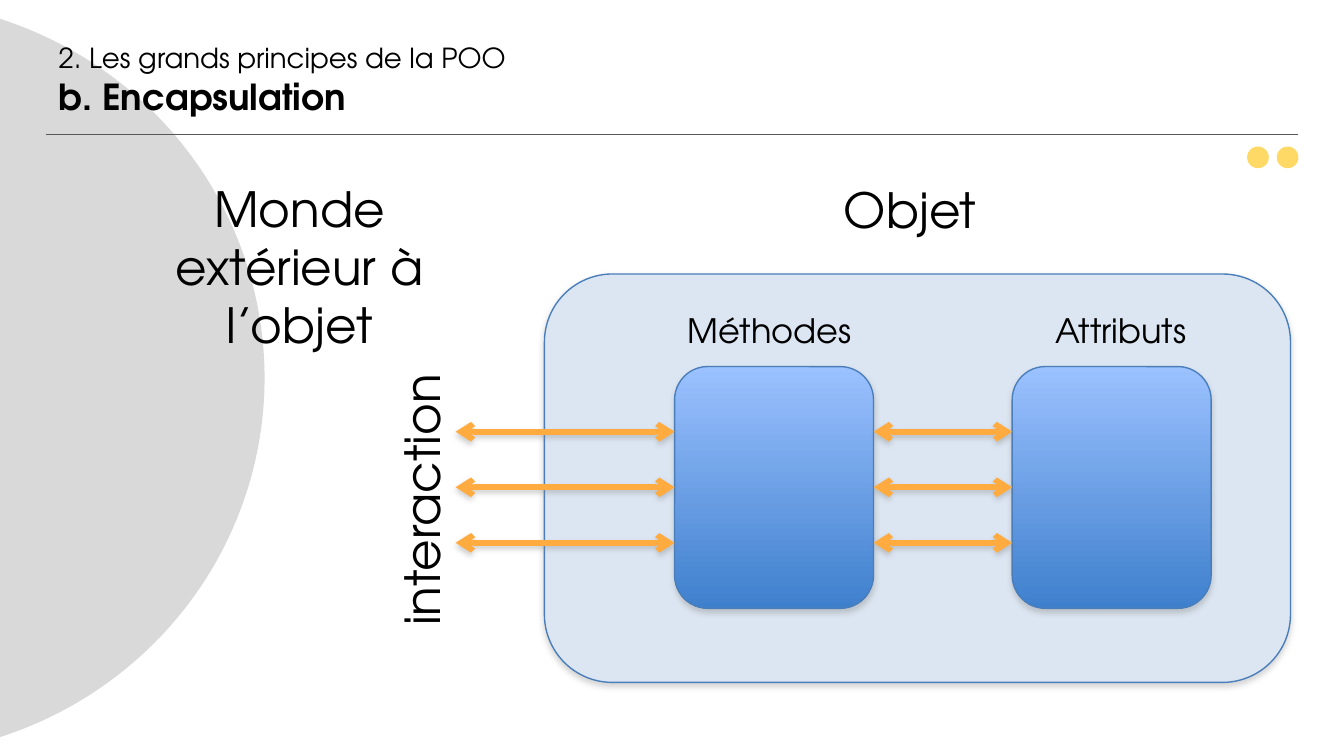
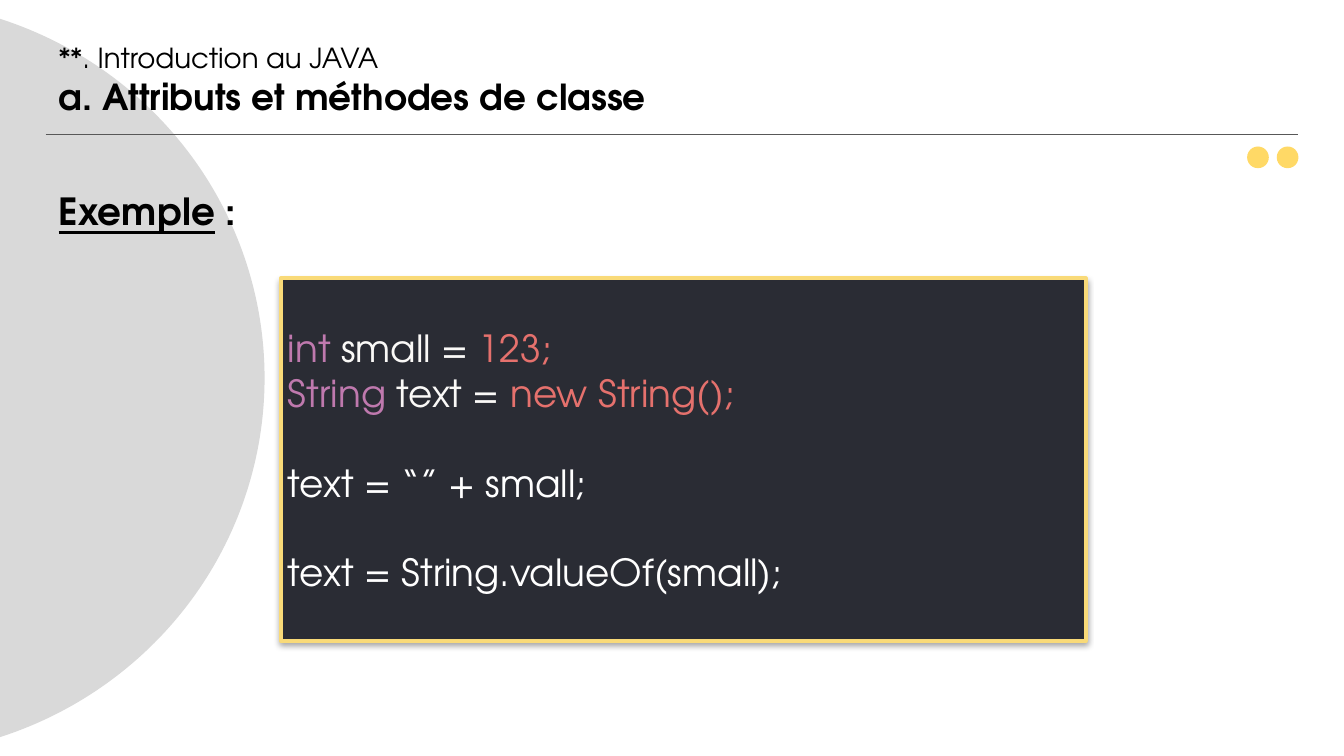
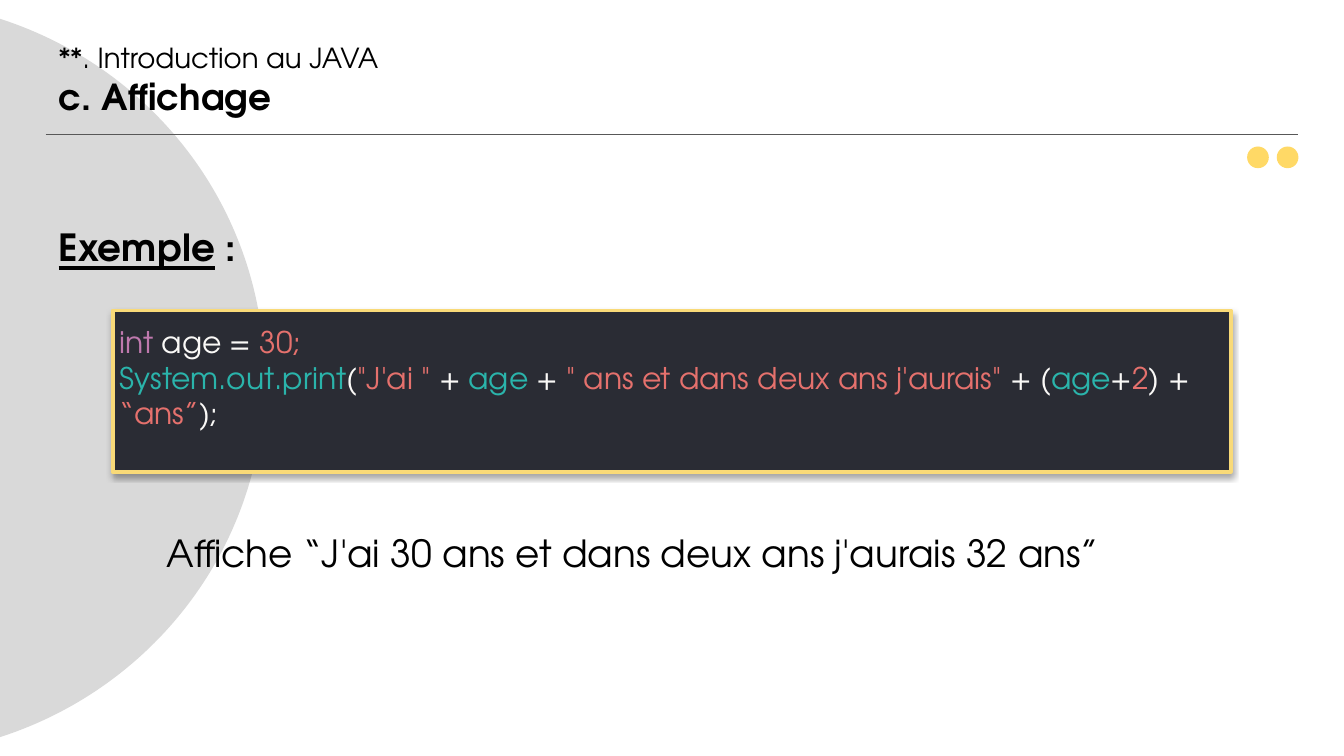
from lxml import etree
from pptx import Presentation
from pptx import util as u
from pptx.dml.color import RGBColor
from pptx.enum import shapes as kinds, text as txt
from pptx.oxml.ns import qn

FONT = "TeX Gyre Adventor"
COLORS = {
    "black": "000000",
    "white": "FFFFFF",
    "disc": "D9D9D9",
    "rule": "585858",
    "dot": "FFD966",
    "object": "DCE6F2",
    "outline": "4A7EBB",
    "member_top": "9BC1FF",
    "member_bottom": "3F80CD",
    "arrow": "FFAB40",
    "shadow": "808080",
    "code_back": "2A2C34",
    "code_edge": "F9DA78",
    "type": "BF79AE",
    "plain": "FAF9F7",
    "value": "E5716D",
    "name": "2AB4AB",
}
MARGIN, RIGHT = 0.86, 24.54
TITLE_INSETS = (0.25, 0.25, 0.25, 0.25)
LABEL_INSETS = (0.25, 0.13, 0.25, 0.13)


def rgb(name):
    return RGBColor.from_string(COLORS[name])


def cm(*lengths):
    return [u.Cm(length) for length in lengths]


def write(frame, paragraphs, size=20, color="black", bold=False, align=None,
          anchor=txt.MSO_ANCHOR.TOP, insets=LABEL_INSETS, spacing=None, gaps=None):
    """Fill a frame; a paragraph is a string or a list of (text, format) runs.

    gaps maps a paragraph index to the points of space before it.
    """
    frame.word_wrap = True
    frame.vertical_anchor = anchor
    (frame.margin_left, frame.margin_top,
     frame.margin_right, frame.margin_bottom) = cm(*insets)
    for index, runs in enumerate(paragraphs):
        paragraph = frame.paragraphs[0] if index == 0 else frame.add_paragraph()
        paragraph.alignment = align
        if spacing:
            paragraph.line_spacing = spacing
        if gaps and index in gaps:
            paragraph.space_before = u.Pt(gaps[index])
        for words, style in [(runs, {})] if isinstance(runs, str) else runs:
            run = paragraph.add_run()
            run.text = words
            run.font.name = FONT
            run.font.size = u.Pt(style.get("size", size))
            run.font.bold = style.get("bold", bold)
            run.font.underline = style.get("underline")
            run.font.color.rgb = rgb(style.get("color", color))


def add_text(shapes, box, paragraphs, **style):
    frame = shapes.add_textbox(*cm(*box)).text_frame
    write(frame, paragraphs, **style)
    return frame


def set_effects(element, shadow=None, alpha=35, blur=3.1, distance=1.8):
    """Replace the theme's effects by a downward shadow, or by none."""
    properties = element.spPr
    effects = properties.find(qn("a:effectLst"))
    if effects is None:
        effects = etree.SubElement(properties, qn("a:effectLst"))
    if shadow:
        outer = etree.SubElement(
            effects, qn("a:outerShdw"), blurRad=str(u.Pt(blur)),
            dist=str(u.Pt(distance)), dir="5400000", rotWithShape="0")
        tint = etree.SubElement(outer, qn("a:srgbClr"), val=COLORS[shadow])
        etree.SubElement(tint, qn("a:alpha"), val=str(alpha * 1000))


def add_block(shapes, kind, box, fill, edge=None, width=0.75, shadow=None, blur=3.1):
    """Draw a preset shape; a pair of fill colours gives a vertical gradient."""
    block = shapes.add_shape(kind, *cm(*box))
    block.shadow.inherit = False
    set_effects(block._element, shadow, blur=blur)
    if isinstance(fill, tuple):
        block.fill.gradient()
        block.fill.gradient_angle = 270
        for position, (stop, color) in enumerate(zip(block.fill.gradient_stops, fill)):
            stop.position = position
            stop.color.rgb = rgb(color)
    else:
        block.fill.solid()
        block.fill.fore_color.rgb = rgb(fill)
    if edge:
        block.line.color.rgb = rgb(edge)
        block.line.width = u.Pt(width)
    else:
        block.line.fill.background()
    return block


def add_level_line(shapes, start, end, y, color, width):
    line = shapes.add_connector(kinds.MSO_CONNECTOR.STRAIGHT, *cm(start, y, end, y))
    line.line.color.rgb = rgb(color)
    line.line.width = u.Pt(width)
    return line


def add_exchange(shapes, start, end, y):
    arrow = add_level_line(shapes, start, end, y, "arrow", 3)
    for tip in ("a:headEnd", "a:tailEnd"):
        etree.SubElement(arrow.line._get_or_add_ln(), qn(tip), type="arrow")
    set_effects(arrow._element, "shadow", alpha=38, distance=1.6)


def add_code(shapes, box, lines, size, bottom=0.13, gaps=None):
    """Draw a dark code panel; lines hold (text, colour name) pairs."""
    panel = add_block(shapes, kinds.MSO_SHAPE.RECTANGLE, box, "code_back",
                      "code_edge", 2, "black", blur=3)
    write(panel.text_frame,
          [[(words, {"color": color}) for words, color in line] for line in lines],
          size=size, align=txt.PP_ALIGN.LEFT, anchor=txt.MSO_ANCHOR.MIDDLE,
          insets=(0.13, 0.13, 0.13, bottom), gaps=gaps)


def add_example_heading(shapes, top, spacing=None):
    add_text(shapes, (MARGIN, top, 21.64, 1.35),
             [[("Exemple", {"underline": True}), (" :", {})]],
             bold=True, insets=TITLE_INSETS, spacing=spacing)


def start_slide(deck):
    shapes = deck.slides.add_slide(deck.slide_layouts[6]).shapes
    add_block(shapes, kinds.MSO_SHAPE.OVAL, (-9.53, 0, 14.53, 14.29), "disc")
    return shapes


def add_header(shapes, chapter, section):
    add_text(shapes, (MARGIN, 0.53, RIGHT - MARGIN, 1.98),
             [[(chapter, {"size": 14.8})], [(section, {"size": 19.2, "bold": True})]],
             insets=TITLE_INSETS)
    rule = add_level_line(shapes, MARGIN, RIGHT, 2.54, "rule", 0.75)
    set_effects(rule._element)
    for left in (23.57, 24.13):
        add_block(shapes, kinds.MSO_SHAPE.OVAL, (left, 2.77, 0.41, 0.41), "dot")


def encapsulation_slide(deck):
    shapes = start_slide(deck)
    add_text(shapes, (15.7, 3.28, 3.2, 1.37), ["Objet"], size=26)
    interaction = add_text(shapes, (7.16, 6.5, 1.63, 5.46), ["interaction"], size=26)
    interaction._txBody.bodyPr.set("vert", "vert270")
    add_text(shapes, (2.06, 3.25, 7.21, 3.58), ["Monde extérieur à l’objet"],
             size=26, align=txt.PP_ALIGN.CENTER)

    diagram = shapes.add_group_shape().shapes
    rounded = kinds.MSO_SHAPE.ROUNDED_RECTANGLE
    methods, attributes, member_width = 12.75, 19.13, 3.76
    add_block(diagram, rounded, (10.29, 5.18, 14.1, 7.72), "object",
              "outline", shadow="shadow")
    for left in (methods, attributes):
        add_block(diagram, rounded, (left, 6.93, member_width, 4.57),
                  ("member_top", "member_bottom"), "outline", shadow="shadow")
    for label, left, width in (("Méthodes", methods, 3.76), ("Attributs", 19.69, 3.38)):
        add_text(diagram, (left, 5.72, width, 1.02), [label], size=18)
    for start, end in ((methods + member_width, attributes), (8.61, methods)):
        for row in range(3):
            add_exchange(diagram, start, end, 8.16 + 1.05 * row)
    add_header(shapes, "2. Les grands principes de la POO", "b. Encapsulation")


def class_members_slide(deck):
    shapes = start_slide(deck)
    add_example_heading(shapes, 3.3)
    add_code(shapes, (5.31, 5.26, 15.21, 6.86), [
        [("int ", "type"), ("small = ", "plain"), ("123;", "value")],
        [("String ", "type"), ("text = ", "plain"), ("new String();", "value")],
        [("text = “” + small;", "white")],
        [("text = String.valueOf(small);", "white")],
    ], size=20, gaps={2: 24, 3: 24})
    add_header(shapes, "**. Introduction au JAVA", "a. Attributs et méthodes de classe")


def display_slide(deck):
    shapes = start_slide(deck)
    add_example_heading(shapes, 3.81, spacing=1.2)
    add_code(shapes, (2.13, 5.87, 21.13, 3.05), [
        [("int", "type"), (" age = ", "plain"), ("30;", "value")],
        [("System.out.print", "name"), ("(", "plain"), ("\"J'ai \" ", "value"),
         ("+ ", "plain"), ("age", "name"), (" + ", "plain"),
         ("\" ans et dans deux ans j'aurais\" ", "value"), ("+ (", "plain"),
         ("age", "name"), ("+", "plain"), ("2", "value"), (") + ", "plain"),
         ("“ans”", "value"), (");", "plain")],
    ], size=16, bottom=0.66)
    add_text(shapes, (2.9, 9.6, 19.61, 1.35),
             ["Affiche “J'ai 30 ans et dans deux ans j'aurais 32 ans”"],
             insets=TITLE_INSETS, spacing=1.2)
    add_header(shapes, "**. Introduction au JAVA", "c. Affichage")


def main():
    deck = Presentation()
    deck.slide_width, deck.slide_height = cm(25.4, 14.29)
    encapsulation_slide(deck)
    class_members_slide(deck)
    display_slide(deck)
    deck.save("out.pptx")


if __name__ == "__main__":
    main()
